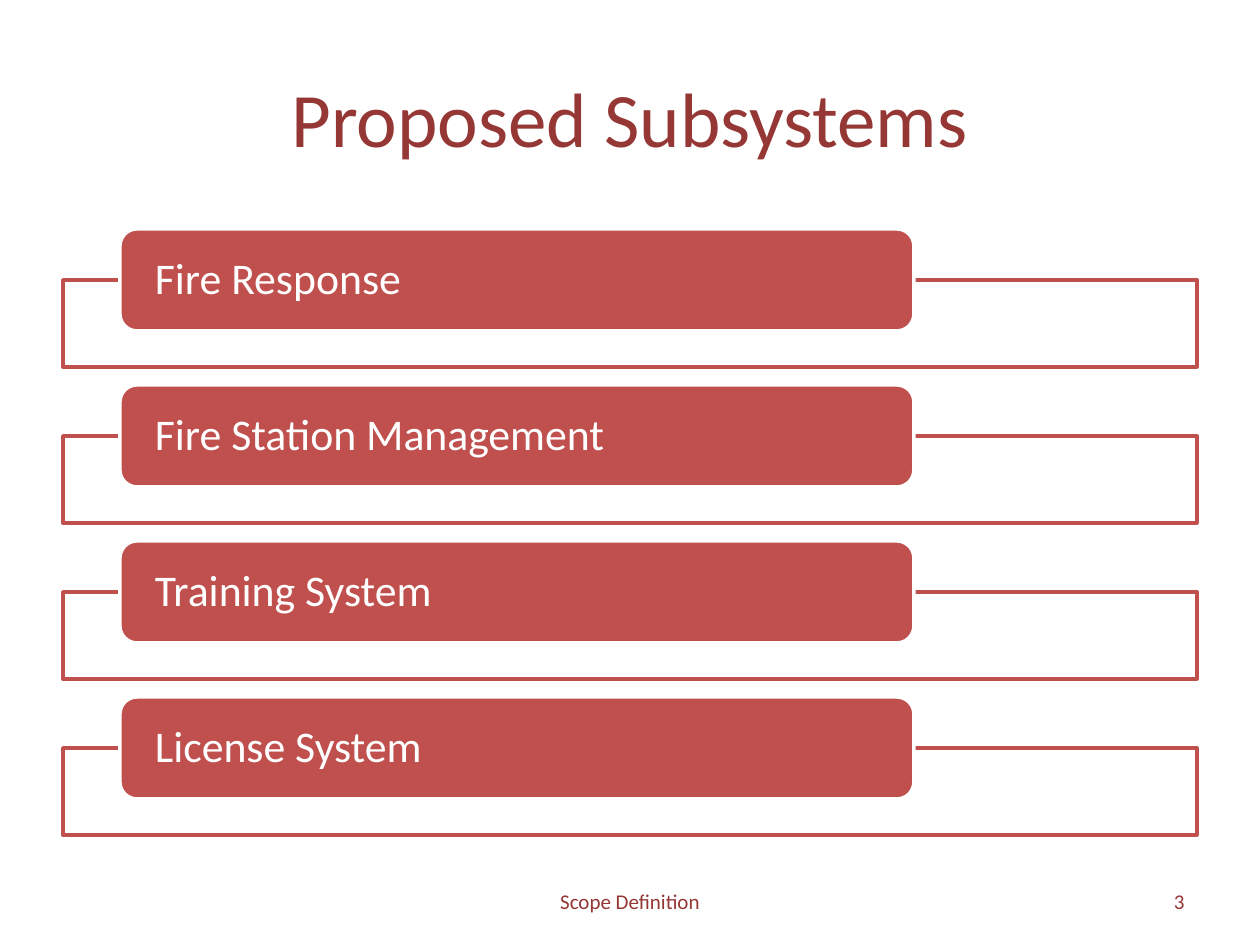
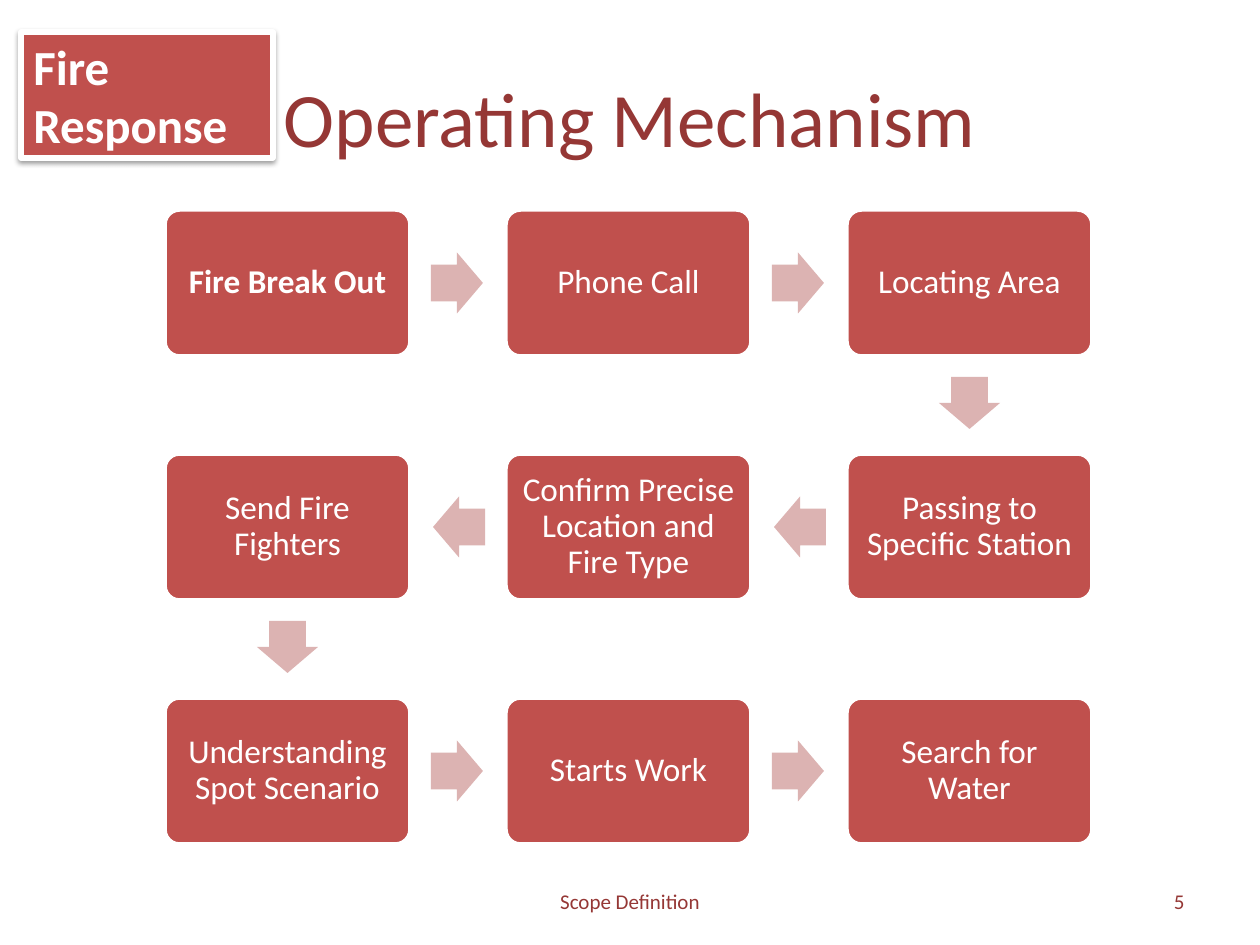
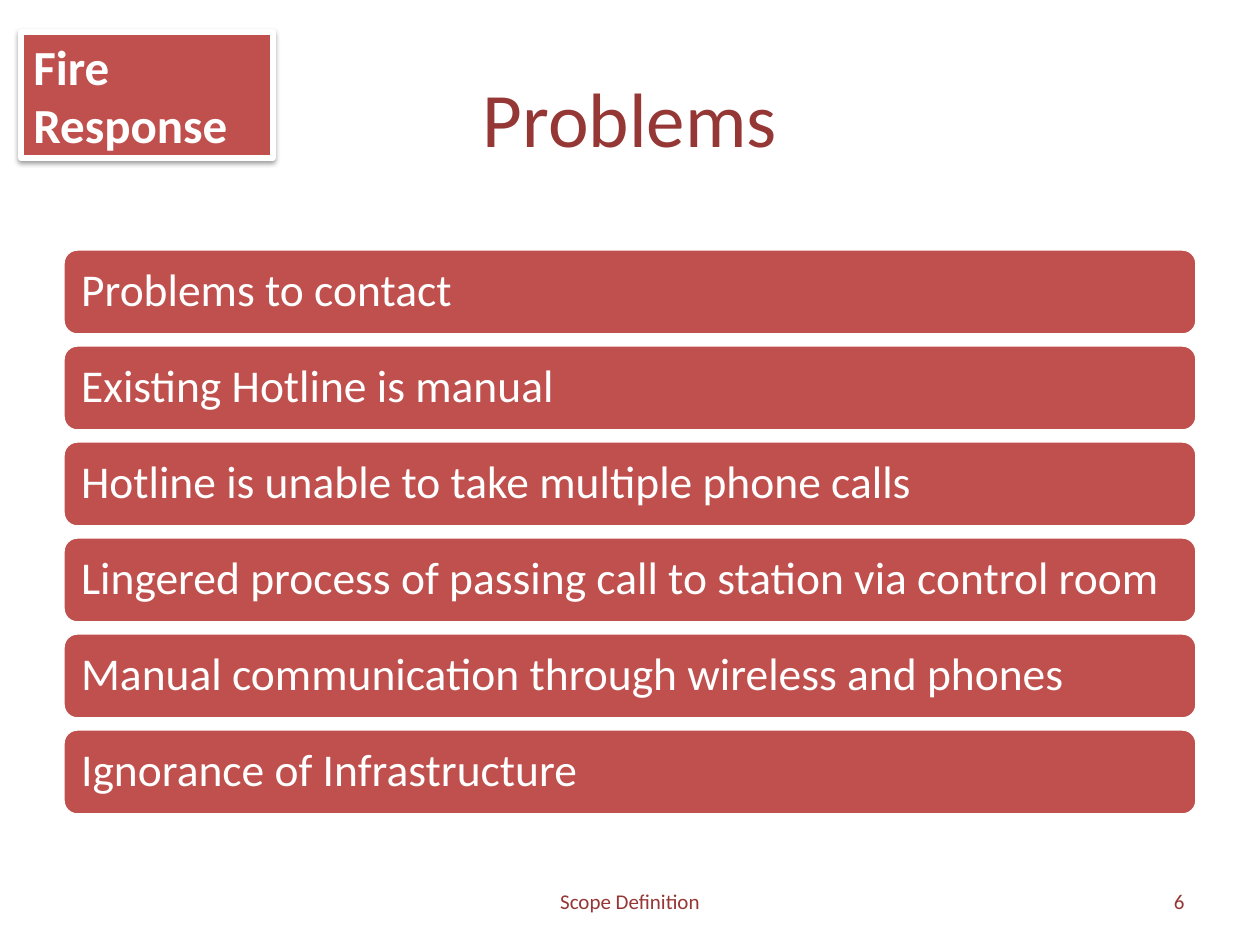
import pptx
import pptx.util
import pptx.dml.color
import pptx.enum.shapes
import pptx.enum.text
import pptx.oxml
import pptx.oxml.ns

RGBColor = pptx.dml.color.RGBColor
SHAPE = pptx.enum.shapes.MSO_SHAPE
ALIGN = pptx.enum.text.PP_ALIGN
MIDDLE = pptx.enum.text.MSO_ANCHOR.MIDDLE

BRICK = RGBColor(0xC0, 0x50, 0x4D)
DARK_RED = RGBColor(0x95, 0x37, 0x35)
PINK = RGBColor(0xDC, 0xB3, 0xB2)
WHITE = RGBColor(0xFF, 0xFF, 0xFF)

FONT = "Calibri"
EMU_PER_PIXEL = 914400 / 126
MARGIN = 63
CONTENT_WIDTH = 1134
TITLE_ONLY = 5

SUBSYSTEMS = ["Fire Response", "Fire Station Management",
              "Training System", "License System"]
STEPS = ["Fire Break Out", "Phone Call", "Locating Area",
         "Passing to Specific Station",
         "Confirm Precise Location and Fire Type", "Send Fire Fighters",
         "Understanding Spot Scenario", "Starts Work", "Search for Water"]
PROBLEMS = ["Problems to contact", "Existing Hotline is manual",
            "Hotline is unable to take multiple phone calls",
            "Lingered process of passing call to station via control room",
            "Manual communication through wireless and phones",
            "Ignorance of Infrastructure"]


def px(pixels):
    return pptx.util.Emu(round(pixels * EMU_PER_PIXEL))


def write(frame, text, size, color, align=ALIGN.LEFT, bold=False,
          spacing=None, insets=None):
    frame.word_wrap = True
    frame.vertical_anchor = MIDDLE
    if insets:
        frame.margin_left = frame.margin_right = px(insets[0])
        frame.margin_top = frame.margin_bottom = px(insets[1])
    paragraph = frame.paragraphs[0]
    paragraph.alignment = align
    paragraph.line_spacing = spacing
    run = paragraph.add_run()
    run.text = text
    run.font.name = FONT
    run.font.size = pptx.util.Pt(size)
    run.font.bold = bold
    run.font.color.rgb = color


def add_block(slide, preset, box, fill, line=None, line_width=2):
    block = slide.shapes.add_shape(preset, *map(px, box))
    block.shadow.inherit = False
    block.fill.solid()
    block.fill.fore_color.rgb = fill
    if line is None:
        block.line.fill.background()
    else:
        block.line.color.rgb = line
        block.line.width = pptx.util.Pt(line_width)
    return block


def add_card(slide, box, text, size, insets, align=ALIGN.LEFT, bold=False,
             corner=0.16667):
    card = add_block(slide, SHAPE.ROUNDED_RECTANGLE, box, BRICK, WHITE)
    card.adjustments[0] = corner
    write(card.text_frame, text, size, WHITE, align, bold, 0.9, insets)


def add_frame(slide, box):
    frame = add_block(slide, SHAPE.RECTANGLE, box, WHITE, BRICK)
    color = frame.fill._xPr.find(".//" + pptx.oxml.ns.qn("a:srgbClr"))
    color.append(pptx.oxml.parse_xml(
        f'<a:alpha {pptx.oxml.ns.nsdecls("a")} val="90000"/>'))


def add_arrow(slide, center_x, center_y, rotation):
    length, breadth = 52, 61
    arrow = add_block(slide, SHAPE.RIGHT_ARROW,
                      (center_x - length / 2, center_y - breadth / 2,
                       length, breadth), PINK)
    arrow.adjustments[0] = 0.6
    arrow.adjustments[1] = 0.5
    arrow.rotation = rotation


def add_section_tag(slide, text):
    tag = add_block(slide, SHAPE.RECTANGLE, (21, 32, 252, 126),
                    BRICK, WHITE, 3)
    effects = tag._element.spPr.find(pptx.oxml.ns.qn("a:effectLst"))
    effects.append(pptx.oxml.parse_xml(
        f'<a:outerShdw {pptx.oxml.ns.nsdecls("a")} blurRad="39370" '
        'dist="20320" dir="5400000" rotWithShape="0">'
        '<a:srgbClr val="000000"><a:alpha val="38000"/></a:srgbClr>'
        '</a:outerShdw>'))
    write(tag.text_frame, text, 28, WHITE, bold=True)


def add_footer(slide, left, width, text, align):
    footer = slide.shapes.add_textbox(px(left), px(876), px(width), px(50))
    write(footer.text_frame, text, 12, DARK_RED, align)


def start_slide(deck, title_text, number):
    slide = deck.slides.add_slide(deck.slide_layouts[TITLE_ONLY])
    title = slide.shapes.title
    title.left, title.top = px(MARGIN), px(38)
    title.width, title.height = px(CONTENT_WIDTH), px(158)
    write(title.text_frame, title_text, 44, DARK_RED, ALIGN.CENTER)
    add_footer(slide, 430, 400, "Scope Definition", ALIGN.CENTER)
    add_footer(slide, 903, 294, str(number), ALIGN.RIGHT)
    return slide


def add_subsystems(slide):
    for row, name in enumerate(SUBSYSTEMS):
        top = 229 + 156 * row
        add_frame(slide, (MARGIN, top + 51, CONTENT_WIDTH, 87))
        add_card(slide, (120, top, 794, 102), name, 25, (30, 0))


def add_mechanism(slide):
    columns = 3
    width, height = 245, 146
    arrow_offset = 21 + 26
    for index, step in enumerate(STEPS):
        row, position = divmod(index, columns)
        backward = row % 2 == 1
        column = columns - 1 - position if backward else position
        left, top = 165 + 341 * column, 210 + 244 * row
        add_card(slide, (left, top, width, height), step, 19, (10, 10),
                 ALIGN.CENTER, index == 0, 0.1)
        center_x, center_y = left + width / 2, top + height / 2
        if index == len(STEPS) - 1:
            continue
        if position == columns - 1:
            add_arrow(slide, center_x, top + height + arrow_offset, 90)
        elif backward:
            add_arrow(slide, left - arrow_offset, center_y, 180)
        else:
            add_arrow(slide, left + width + arrow_offset, center_y, 0)


def add_problems(slide):
    for row, problem in enumerate(PROBLEMS):
        add_card(slide, (MARGIN, 249 + 96 * row, CONTENT_WIDTH, 86),
                 problem, 26, (14, 14))


def main():
    deck = pptx.Presentation()
    deck.slide_width, deck.slide_height = px(1260), px(945)

    add_subsystems(start_slide(deck, "Proposed Subsystems", 3))

    mechanism = start_slide(deck, "Operating Mechanism", 5)
    add_mechanism(mechanism)
    add_section_tag(mechanism, SUBSYSTEMS[0])

    problems = start_slide(deck, "Problems", 6)
    add_problems(problems)
    add_section_tag(problems, SUBSYSTEMS[0])

    deck.save("out.pptx")


main()
